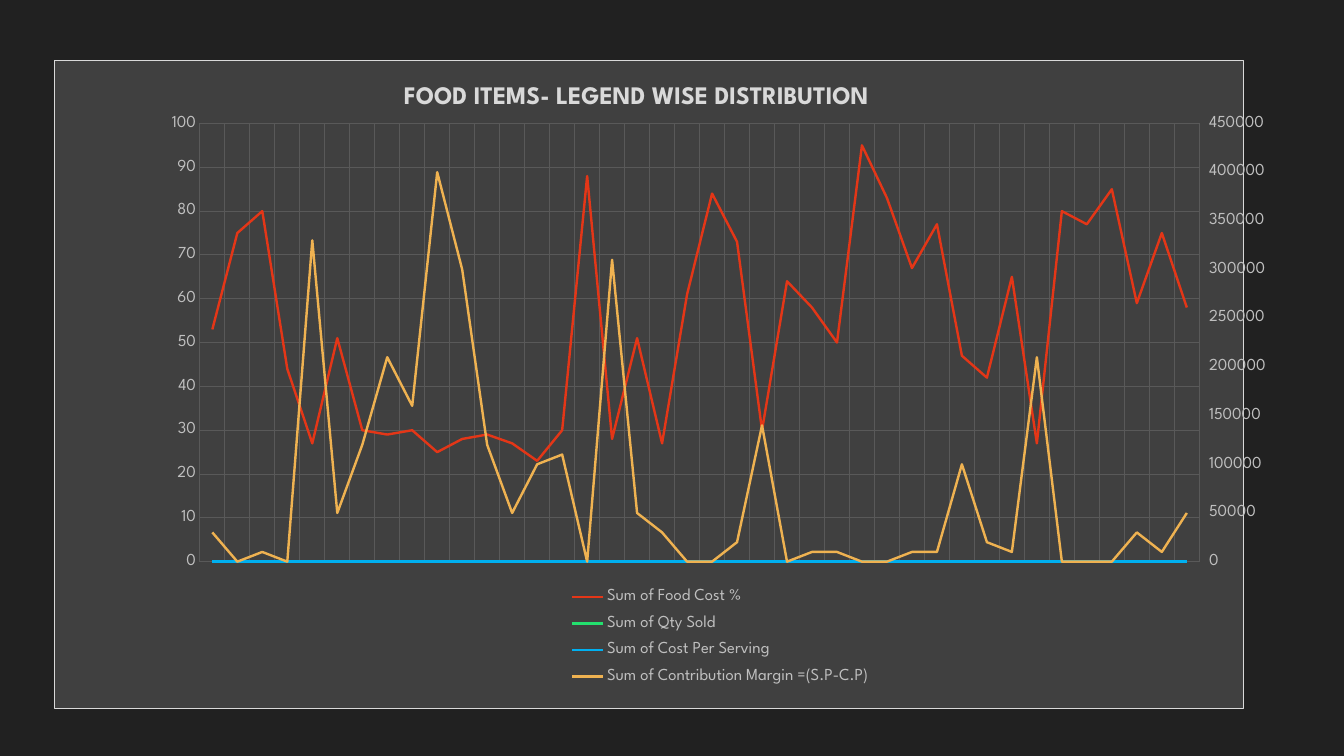
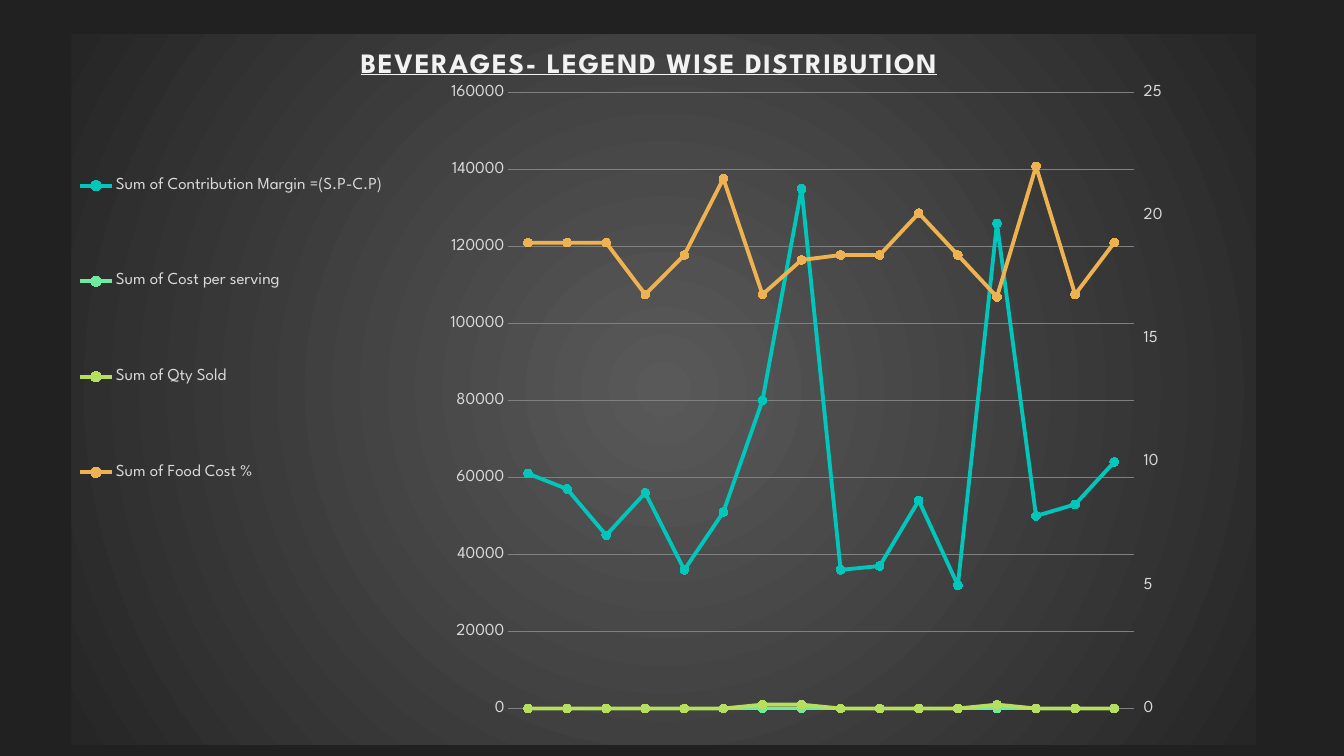
import copy

import lxml.etree
import pptx
import pptx.chart.data
import pptx.dml.color
import pptx.enum.chart
import pptx.oxml
import pptx.oxml.ns
import pptx.util

Cm = pptx.util.Cm
Pt = pptx.util.Pt
qn = pptx.oxml.ns.qn
TICK = pptx.enum.chart.XL_TICK_MARK
LEGEND = pptx.enum.chart.XL_LEGEND_POSITION

FONT = "League Spartan"
COLORS = {
    "background": "212121", "panel": "404040", "panel_grid": "595959",
    "border": "D9D9D9", "grid": "808080", "glow": "595959", "edge": "262626",
    "muted": "BFBFBF", "light": "D9D9D9", "title": "F2F2F2",
    "red": "E43617", "green": "23E06E", "blue": "00B0F0", "gold": "EFB251",
    "teal": "00C6BB", "mint": "6FEBA0", "lime": "B6DF5E",
}

PANEL_FILL = f"""
  <a:solidFill><a:srgbClr val="{COLORS['panel']}"/></a:solidFill>
  <a:ln w="9525"><a:solidFill><a:srgbClr val="{COLORS['border']}"/></a:solidFill></a:ln>"""
GLOW_FILL = f"""
  <a:gradFill><a:gsLst>
    <a:gs pos="0"><a:srgbClr val="{COLORS['glow']}"/></a:gs>
    <a:gs pos="100000"><a:srgbClr val="{COLORS['edge']}"/></a:gs>
  </a:gsLst><a:path path="circle">
    <a:fillToRect l="50000" t="50000" r="50000" b="50000"/>
  </a:path></a:gradFill>
  <a:ln><a:noFill/></a:ln>"""

FOOD = {
    "box": (1.37, 1.5, 30.53, 16.36),
    "title": "FOOD ITEMS- LEGEND WISE DISTRIBUTION",
    "title_style": {"size": 18, "color": "light", "underline": False, "spacing": 0},
    "title_at": (0.29, 0.03),
    "plot_at": (0.122, 0.098, 0.841, 0.676),
    "legend": LEGEND.RIGHT,
    "legend_at": (0.42, 0.8, 0.28, 0.18),
    "fill": PANEL_FILL, "text": "muted", "grid": "panel_grid",
    "category_grid": True, "markers": False, "line_width": 1.75,
    "left_axis": (100, 10), "right_axis": (450000, 50000),
    "left_series": 1,
    "series": [
        ("Sum of Food Cost %", "red",
         [53, 75, 80, 44, 27, 51, 30, 29, 30, 25, 28, 29, 27, 23, 30, 88, 28, 51, 27, 61,
          84, 73, 30, 64, 58, 50, 95, 83, 67, 77, 47, 42, 65, 27, 80, 77, 85, 59, 75, 58]),
        ("Sum of Qty Sold", "green", [0] * 40),
        ("Sum of Cost Per Serving", "blue", [0] * 40),
        ("Sum of Contribution Margin =(S.P-C.P)", "gold",
         [30000, 0, 10000, 0, 330000, 50000, 120000, 210000, 160000, 400000,
          300000, 120000, 50000, 100000, 110000, 0, 310000, 50000, 30000, 0,
          0, 20000, 140000, 0, 10000, 10000, 0, 0, 10000, 10000,
          100000, 20000, 10000, 210000, 0, 0, 0, 30000, 10000, 50000]),
    ],
}

BEVERAGES = {
    "box": (1.8, 0.86, 29.85, 17.91),
    "title": "BEVERAGES- LEGEND WISE DISTRIBUTION",
    "title_style": {"size": 20, "color": "title", "underline": True, "spacing": 100},
    "title_at": (0.24, 0.015),
    "plot_at": (0.369, 0.082, 0.528, 0.867),
    "legend": LEGEND.LEFT,
    "legend_at": (0, 0.09, 0.27, 0.65),
    "fill": GLOW_FILL, "text": "light", "grid": "grid",
    "category_grid": False, "markers": True, "line_width": 2.75,
    "left_axis": (160000, 20000), "right_axis": (25, 5),
    "left_series": 3,
    "series": [
        ("Sum of Contribution Margin =(S.P-C.P)", "teal",
         [61000, 57000, 45000, 56000, 36000, 51000, 80000, 135000,
          36000, 37000, 54000, 32000, 126000, 50000, 53000, 64000]),
        ("Sum of Cost per serving", "mint", [0] * 16),
        ("Sum of Qty Sold", "lime",
         [0, 0, 0, 0, 0, 0, 1000, 1000, 0, 0, 0, 0, 1000, 0, 0, 0]),
        ("Sum of Food Cost %", "gold",
         [18.9, 18.9, 18.9, 16.8, 18.4, 21.5, 16.8, 18.2,
          18.4, 18.4, 20.1, 18.4, 16.7, 22, 16.8, 18.9]),
    ],
}


def rgb(name):
    return pptx.dml.color.RGBColor.from_string(COLORS[name])


def style_font(font, size, color):
    font.name = FONT
    font.size = Pt(size)
    font.color.rgb = rgb(color)


def set_layout(parent, index, fractions, inner=False):
    """Place a chart part by fractions of the chart: x, y and optionally w, h."""
    for old in parent.findall(qn("c:layout")):
        parent.remove(old)
    layout = lxml.etree.SubElement(parent, qn("c:layout"))
    manual = lxml.etree.SubElement(layout, qn("c:manualLayout"))
    settings = [("layoutTarget", "inner")] if inner else []
    settings += [("xMode", "edge"), ("yMode", "edge")]
    settings += zip("xywh", fractions)
    for tag, value in settings:
        lxml.etree.SubElement(manual, qn(f"c:{tag}")).set("val", str(value))
    parent.insert(index, layout)


def style_title(chart, design):
    style = design["title_style"]
    chart.has_title = True
    paragraph = chart.chart_title.text_frame.paragraphs[0]
    paragraph.text = design["title"]
    style_font(paragraph.font, style["size"], style["color"])
    paragraph.font.bold = True
    paragraph.font.underline = style["underline"]
    properties = paragraph._p.pPr.find(qn("a:defRPr"))
    properties.set("spc", str(style["spacing"]))
    chart.chart_title.include_in_layout = False
    set_layout(chart.chart_title._element, 1, design["title_at"])


def style_legend(chart, design):
    chart.has_legend = True
    chart.legend.position = design["legend"]
    chart.legend.include_in_layout = False
    style_font(chart.legend.font, 12, design["text"])
    set_layout(chart.legend._element, 1, design["legend_at"])


def style_gridlines(axis, color):
    axis.has_major_gridlines = True
    axis.major_gridlines.format.line.color.rgb = rgb(color)
    axis.major_gridlines.format.line.width = Pt(0.75)


def style_axes(chart, design):
    category_axis, value_axis = chart.category_axis, chart.value_axis
    category_axis.visible = False
    category_axis.has_major_gridlines = False
    if design["category_grid"]:
        style_gridlines(category_axis, design["grid"])
    style_gridlines(value_axis, design["grid"])
    value_axis.minimum_scale = 0
    value_axis.maximum_scale, value_axis.major_unit = design["left_axis"]
    value_axis.major_tick_mark = TICK.NONE
    value_axis.minor_tick_mark = TICK.NONE
    value_axis.tick_labels.number_format = "General"
    value_axis.tick_labels.number_format_is_linked = False
    value_axis.format.line.fill.background()
    style_font(value_axis.tick_labels.font, 12, design["text"])


def style_series(chart, design):
    marker_style = pptx.enum.chart.XL_MARKER_STYLE
    for series, (_, color, _) in zip(chart.plots[0].series, design["series"]):
        series.smooth = False
        series.format.line.color.rgb = rgb(color)
        series.format.line.width = Pt(design["line_width"])
        if design["markers"]:
            series.marker.style = marker_style.CIRCLE
            series.marker.size = 6
            series.marker.format.fill.solid()
            series.marker.format.fill.fore_color.rgb = rgb(color)
            series.marker.format.line.color.rgb = rgb(color)
        else:
            series.marker.style = marker_style.NONE


def add_right_axis(chart, design):
    """Move the later series to a second line plot with its own axes."""
    plot_area = chart._chartSpace.find(".//" + qn("c:plotArea"))
    left_plot = plot_area.find(qn("c:lineChart"))
    right_plot = copy.deepcopy(left_plot)
    left_plot.addnext(right_plot)
    count = design["left_series"]
    for series in left_plot.findall(qn("c:ser"))[count:]:
        left_plot.remove(series)
    for series in right_plot.findall(qn("c:ser"))[:count]:
        right_plot.remove(series)

    value_axis = plot_area.find(qn("c:valAx"))
    category_axis = plot_area.find(qn("c:catAx"))
    right_value, right_category = copy.deepcopy(value_axis), copy.deepcopy(category_axis)
    value_axis.addnext(right_value)
    right_value.addnext(right_category)
    for axis in (right_value, right_category):
        for grid in axis.findall(qn("c:majorGridlines")):
            axis.remove(grid)

    # Fresh axis numbers for the second pair
    category_id, value_id = "50010", "50020"
    for element, value in zip(right_plot.findall(qn("c:axId")), (category_id, value_id)):
        element.set("val", value)
    maximum, unit = design["right_axis"]
    changes = [
        (right_category, "axId", category_id), (right_category, "crossAx", value_id),
        (right_value, "axId", value_id), (right_value, "crossAx", category_id),
        (right_value, "axPos", "r"), (right_value, "crosses", "max"),
        (right_value, "majorTickMark", "out"), (right_value, "majorUnit", unit),
        (right_value, "scaling/c:max", maximum),
    ]
    namespaces = {"c": pptx.oxml.ns.nsuri("c")}
    for axis, tag, value in changes:
        axis.find(f"c:{tag}", namespaces).set("val", str(value))


def fill_chart_area(chart, fill):
    area = pptx.oxml.parse_xml(
        f'<c:spPr {pptx.oxml.ns.nsdecls("c", "a")}>{fill}</c:spPr>')
    chart._chartSpace.find(qn("c:chart")).addnext(area)


def add_line_chart(slide, design):
    data = pptx.chart.data.CategoryChartData()
    data.categories = [str(n + 1) for n in range(len(design["series"][0][2]))]
    for name, _, values in design["series"]:
        data.add_series(name, values)
    types = pptx.enum.chart.XL_CHART_TYPE
    kind = types.LINE_MARKERS if design["markers"] else types.LINE
    box = [Cm(length) for length in design["box"]]
    chart = slide.shapes.add_chart(kind, *box, data).chart

    style_font(chart.font, 10, design["text"])
    chart.plots[0].vary_by_categories = False
    style_title(chart, design)
    style_legend(chart, design)
    style_axes(chart, design)
    style_series(chart, design)
    add_right_axis(chart, design)
    plot_area = chart._chartSpace.find(".//" + qn("c:plotArea"))
    set_layout(plot_area, 0, design["plot_at"], inner=True)
    fill_chart_area(chart, design["fill"])


def add_chart_slide(presentation, design):
    slide = presentation.slides.add_slide(presentation.slide_layouts[6])
    slide.background.fill.solid()
    slide.background.fill.fore_color.rgb = rgb("background")
    add_line_chart(slide, design)


def main():
    presentation = pptx.Presentation()
    presentation.slide_width = Cm(33.87)
    presentation.slide_height = Cm(19.05)
    for design in (FOOD, BEVERAGES):
        add_chart_slide(presentation, design)
    presentation.save("out.pptx")


if __name__ == "__main__":
    main()
